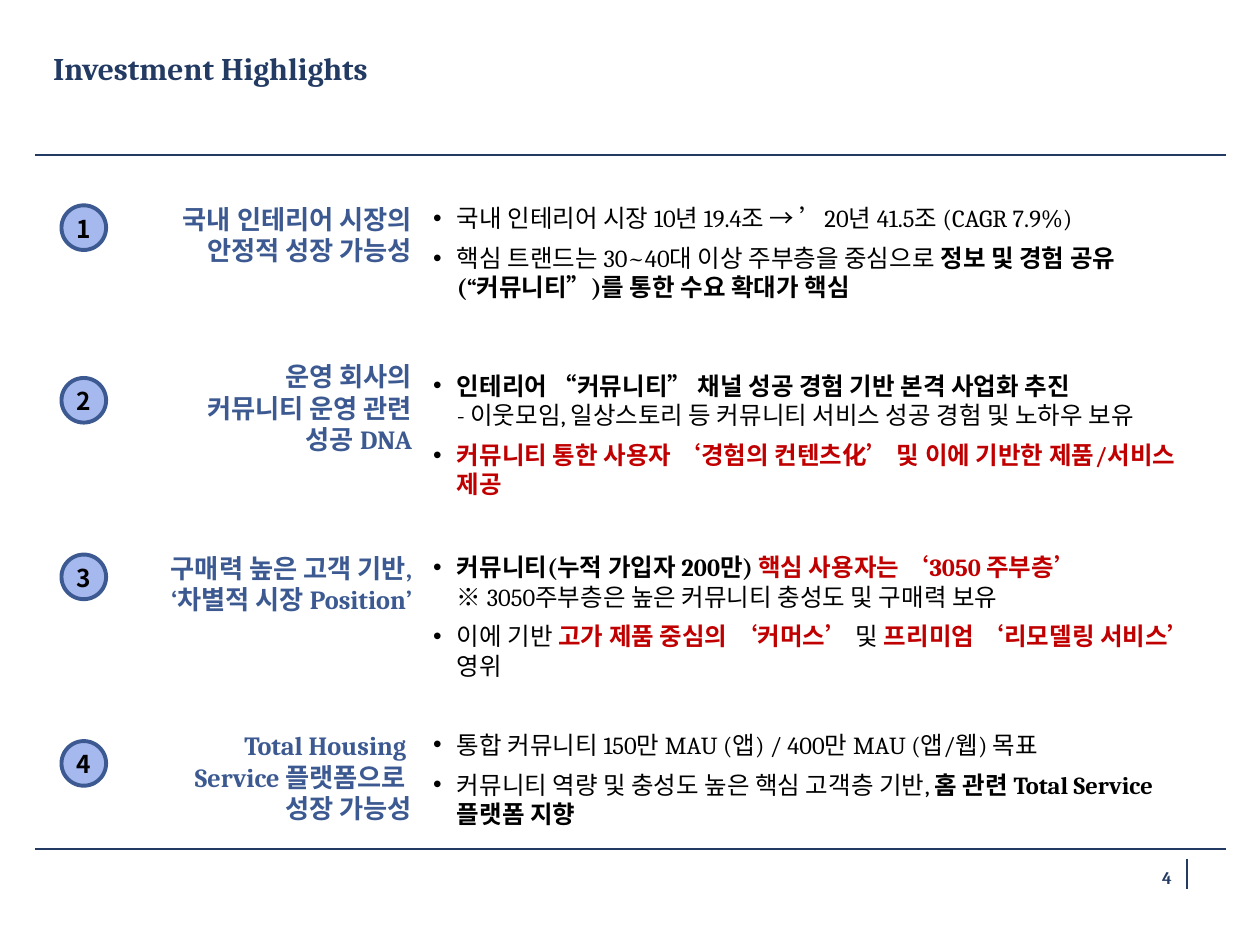
import copy

import pptx
import pptx.util
import pptx.dml.color
import pptx.enum.shapes
import pptx.enum.text
import pptx.oxml.ns
from lxml import etree

Cm, Pt = pptx.util.Cm, pptx.util.Pt
RGB = pptx.dml.color.RGBColor.from_string
ALIGN = pptx.enum.text.PP_ALIGN
ANCHOR = pptx.enum.text.MSO_ANCHOR
qn = pptx.oxml.ns.qn

COLORS = {"navy": "233A63", "blue": "3C5A91", "pale": "A6B9EF",
          "black": "000000", "red": "C00000"}
KOREAN_FONT = "Noto Sans CJK KR"


def write(paragraph, text, size=14, color="black", bold=False, font="Cambria"):
    """Add text to a paragraph; each newline becomes a line break."""
    for number, line in enumerate(text.split("\n")):
        if number:
            paragraph.add_line_break()
            line_break = paragraph._p.findall(qn("a:br"))[-1]
            line_break.insert(0, copy.deepcopy(run_format))
        run = paragraph.add_run()
        run.text = line
        run.font.size = Pt(size)
        run.font.bold = bold
        run.font.color.rgb = RGB(COLORS[color])
        run.font.name = font
        run_format = run._r.get_or_add_rPr()
        etree.SubElement(run_format, qn("a:ea"), typeface=KOREAN_FONT)


def set_frame(frame, margins, anchor=ANCHOR.TOP, wrap=True):
    """Set margins in cm (left, top, right, bottom), anchor and wrapping."""
    frame.margin_left, frame.margin_top, frame.margin_right, frame.margin_bottom = map(Cm, margins)
    frame.vertical_anchor = anchor
    frame.word_wrap = wrap
    frame.auto_size = pptx.enum.text.MSO_AUTO_SIZE.NONE


RED = {"color": "red", "bold": True}
BOLD = {"bold": True}
PLAIN = {}
TEXT_MARGINS = (0.2, 0.13, 0.1, 0.13)

# Each highlight: tops of circle, label and list, list height, label, bullets
highlights = [
    (4.14, 3.96, 3.96, 2.21, "국내 인테리어 시장의\n안정적 성장 가능성", [
        [("국내 인테리어 시장 10년 19.4조 → ’20년 41.5조 (CAGR 7.9%)", PLAIN)],
        [("핵심 트랜드는 30~40대 이상 주부층을 중심으로 ", PLAIN),
         ("정보 및 경험 공유(“커뮤니티”)를 통한 수요 확대가 핵심", BOLD)],
    ]),
    (7.62, 7.14, 7.34, 2.87, "운영 회사의\n커뮤니티 운영 관련\n성공 DNA", [
        [("인테리어 “커뮤니티” 채널 성공 경험 기반 본격 사업화 추진\n", BOLD),
         ("- 이웃모임, 일상스토리 등 커뮤니티 서비스 성공 경험 및 노하우 보유", PLAIN)],
        [("커뮤니티 통한 사용자 ‘경험의 컨텐츠化’ 및 이에 기반한 제품/서비스 제공", RED)],
    ]),
    (11.18, 11, 11, 3.07, "구매력 높은 고객 기반,\n‘차별적 시장 Position’", [
        [("커뮤니티(누적 가입자 200만) ", BOLD),
         ("핵심 사용자는 ‘3050 주부층’\n", RED),
         ("※ 3050주부층은 높은 커뮤니티 충성도 및 구매력 보유", PLAIN)],
        [("이에 기반 ", PLAIN), ("고가 제품 중심의 ‘커머스’", RED), (" 및 ", PLAIN),
         ("프리미엄 ‘리모델링 서비스’ ", RED), ("영위", PLAIN)],
    ]),
    (14.94, 14.58, 14.58, 2.21, "Total Housing \nService 플랫폼으로 \n성장 가능성", [
        [("통합 커뮤니티 150만 MAU (앱) / 400만 MAU (앱/웹) 목표", PLAIN)],
        [("커뮤니티 역량 및 충성도 높은 핵심 고객층 기반, ", PLAIN),
         ("홈 관련 Total Service 플랫폼 지향", BOLD)],
    ]),
]

deck = pptx.Presentation()
deck.slide_width, deck.slide_height = Cm(25.4), Cm(19.05)
# The comparison layout offers a title and four body placeholders
slide = deck.slides.add_slide(deck.slide_layouts[4])

# Rules above and below the content, and beside the page number
for x1, y1, x2, y2 in [(0.71, 3.12, 24.71, 3.12), (0.71, 17.12, 24.71, 17.12),
                       (23.93, 17.32, 23.93, 17.93)]:
    rule = slide.shapes.add_connector(pptx.enum.shapes.MSO_CONNECTOR.STRAIGHT,
                                      Cm(x1), Cm(y1), Cm(x2), Cm(y2))
    rule.line.color.rgb = RGB(COLORS["navy"])
    rule.line.width = Pt(1)
    etree.SubElement(rule._element.spPr, qn("a:effectLst"))

# Title
title = slide.shapes.title
title.left, title.top, title.width, title.height = Cm(1.07), Cm(0.91), Cm(18.08), Cm(0.91)
set_frame(title.text_frame, (0, 0, 0, 0), anchor=ANCHOR.MIDDLE)
heading = title.text_frame.paragraphs[0]
heading.alignment = ALIGN.LEFT
write(heading, "Investment Highlights", size=18, color="navy", bold=True)

# Highlights
for number, highlight in enumerate(highlights, start=1):
    circle_top, label_top, list_top, list_height, label_text, bullets = highlight

    # Numbered circle
    circle = slide.shapes.add_shape(pptx.enum.shapes.MSO_SHAPE.OVAL,
                                    Cm(1.24), Cm(circle_top), Cm(0.9), Cm(0.9))
    circle.shadow.inherit = False
    circle.fill.solid()
    circle.fill.fore_color.rgb = RGB(COLORS["pale"])
    circle.line.color.rgb = RGB(COLORS["blue"])
    circle.line.width = Pt(2.25)
    set_frame(circle.text_frame, (0.13, 0.25, 0.13, 0.25), anchor=ANCHOR.MIDDLE, wrap=False)
    digit = circle.text_frame.paragraphs[0]
    digit.alignment = ALIGN.CENTER
    digit.line_spacing = 1.05
    write(digit, str(number), bold=True, font=KOREAN_FONT)

    # Label
    label = slide.shapes.add_textbox(Cm(1.98), Cm(label_top), Cm(6.43), Cm(2.21))
    set_frame(label.text_frame, TEXT_MARGINS)
    label_line = label.text_frame.paragraphs[0]
    label_line.alignment = ALIGN.RIGHT
    write(label_line, label_text, size=15, color="blue", bold=True)

    # Bulleted list
    details = slide.placeholders[number]
    details.left, details.top = Cm(8.53), Cm(list_top)
    details.width, details.height = Cm(16.15), Cm(list_height)
    set_frame(details.text_frame, TEXT_MARGINS)
    for position, pieces in enumerate(bullets):
        frame = details.text_frame
        point = frame.add_paragraph() if position else frame.paragraphs[0]
        point.space_before, point.space_after = Pt(0), Pt(6)
        layout = point._p.get_or_add_pPr()
        layout.set("marL", str(Cm(0.48)))
        layout.set("indent", str(Cm(-0.48)))
        bullet_color = etree.SubElement(layout, qn("a:buClr"))
        etree.SubElement(bullet_color, qn("a:srgbClr"), val=COLORS["black"])
        etree.SubElement(layout, qn("a:buFont"), typeface="Arial")
        etree.SubElement(layout, qn("a:buChar"), char="•")
        for text, style in pieces:
            write(point, text, **style)

# Page number
page = slide.shapes.add_textbox(Cm(21.89), Cm(17.32), Cm(1.98), Cm(0.74))
set_frame(page.text_frame, (0.25, 0.13, 0.25, 0.13), anchor=ANCHOR.MIDDLE)
page_line = page.text_frame.paragraphs[0]
page_line.alignment = ALIGN.RIGHT
write(page_line, "4", size=10, color="navy", bold=True)

deck.save("out.pptx")
